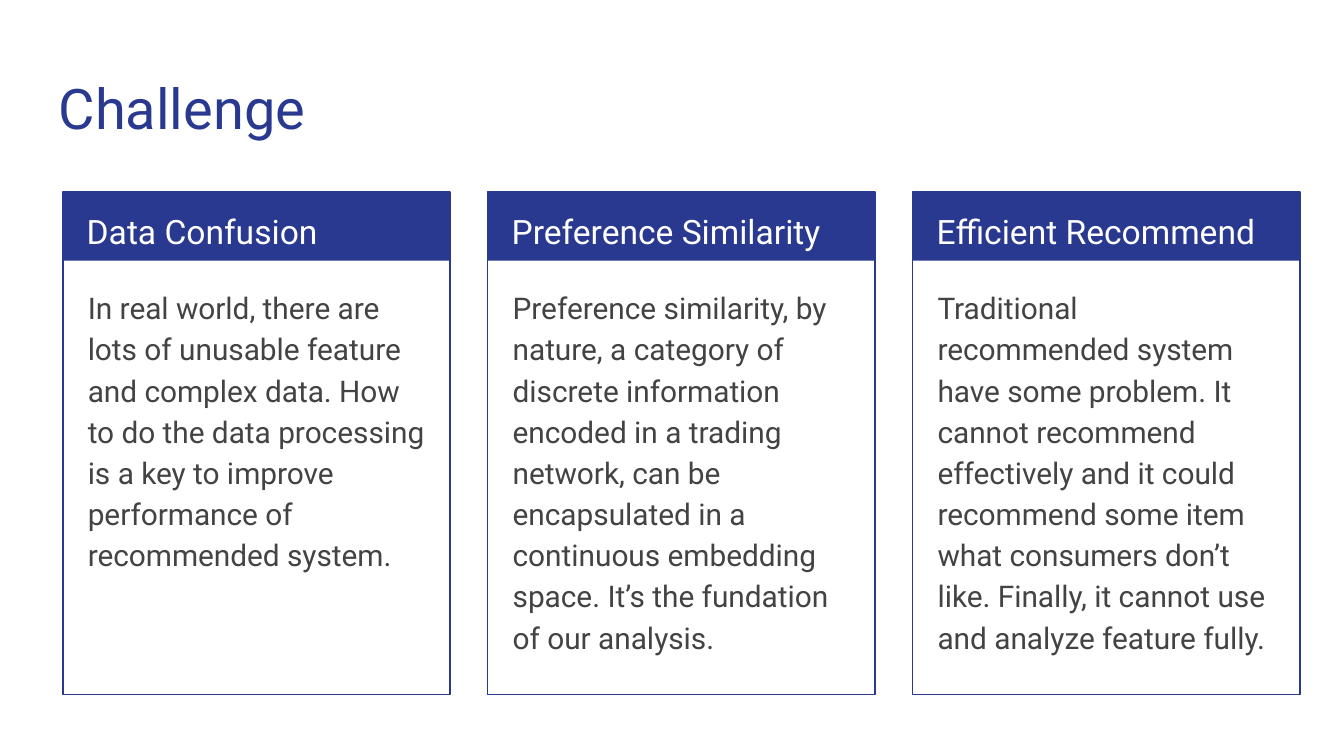
from pptx import Presentation
from pptx.dml.color import RGBColor
from pptx.enum.shapes import MSO_SHAPE as Shape
from pptx.enum.text import MSO_ANCHOR as Anchor
from pptx.util import Cm, Pt

NAVY = RGBColor(0x2A, 0x39, 0x90)
WHITE = RGBColor(0xFF, 0xFF, 0xFF)
GRAY = RGBColor(0x43, 0x43, 0x43)
FONT = "Roboto"

# Card grid, in centimetres
CARD_LEFT, CARD_TOP, CARD_PITCH = 1.19, 3.63, 8.03
CARD_WIDTH, CARD_HEIGHT, HEADER_HEIGHT = 7.32, 9.5, 1.3

CARDS = [
    ("Data Confusion",
     "In real world, there are lots of unusable feature and complex data. "
     "How to do the data processing is a key to improve performance of "
     "recommended system."),
    ("Preference Similarity",
     "Preference similarity, by nature, a category of discrete information "
     "encoded in a trading network, can be encapsulated in a continuous "
     "embedding space. It’s the fundation of our analysis."),
    ("Efficient Recommend",
     "Traditional recommended system have some problem. It cannot recommend "
     "effectively and it could recommend some item what consumers don’t like. "
     "Finally, it cannot use and analyze feature fully."),
]


def add_text(page, text, left, top, width, height, *, size, color,
             line_spacing=1.0, space_after=0):
    box = page.shapes.add_textbox(Cm(left), Cm(top), Cm(width), Cm(height))
    frame = box.text_frame
    frame.word_wrap = True
    frame.vertical_anchor = Anchor.TOP
    frame.margin_left = frame.margin_right = Cm(0.25)
    frame.margin_top = frame.margin_bottom = Cm(0.25)
    para = frame.paragraphs[0]
    para.line_spacing = line_spacing
    para.space_after = Pt(space_after)
    span = para.add_run()
    span.text = text
    span.font.name = FONT
    span.font.size = Pt(size)
    span.font.color.rgb = color


def add_rectangle(group, left, top, width, height, *, fill=None, line=None):
    rectangle = group.shapes.add_shape(
        Shape.RECTANGLE, Cm(left), Cm(top), Cm(width), Cm(height))
    rectangle.shadow.inherit = False
    if fill is None:
        rectangle.fill.background()
    else:
        rectangle.fill.solid()
        rectangle.fill.fore_color.rgb = fill
    if line is None:
        rectangle.line.fill.background()
    else:
        rectangle.line.color.rgb = line
        rectangle.line.width = Pt(0.75)


def add_card(page, left, heading, body):
    # Header band and frame
    group = page.shapes.add_group_shape()
    add_rectangle(group, left, CARD_TOP, CARD_WIDTH, HEADER_HEIGHT, fill=NAVY)
    add_rectangle(group, left, CARD_TOP, CARD_WIDTH, CARD_HEIGHT, line=NAVY)

    # Heading and body text
    add_text(page, heading, left + 0.2, CARD_TOP, 6.93, 1.27,
             size=18, color=WHITE, line_spacing=1.15)
    add_text(page, body, left + 0.22, CARD_TOP + 1.5, 6.88, 7.77,
             size=16, color=GRAY, line_spacing=1.15, space_after=16)


def main():
    deck = Presentation()
    deck.slide_width, deck.slide_height = Cm(25.4), Cm(14.29)
    page = deck.slides.add_slide(deck.slide_layouts[6])

    # Title
    add_text(page, "Challenge", 0.86, 1.14, 23.67, 1.68, size=30, color=NAVY)

    # Three cards
    for index, (heading, body) in enumerate(CARDS):
        add_card(page, CARD_LEFT + index * CARD_PITCH, heading, body)

    deck.save("out.pptx")


if __name__ == "__main__":
    main()
